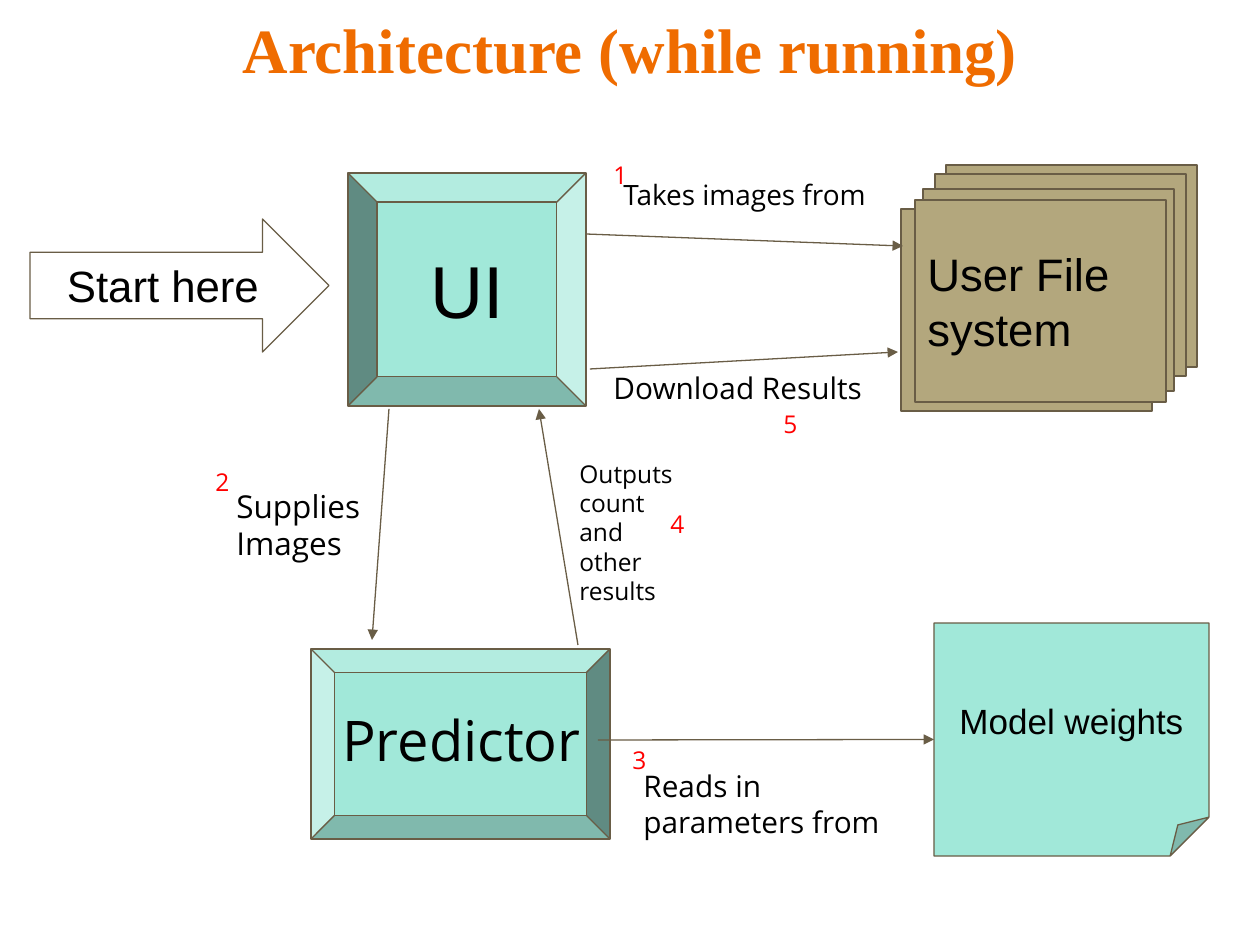
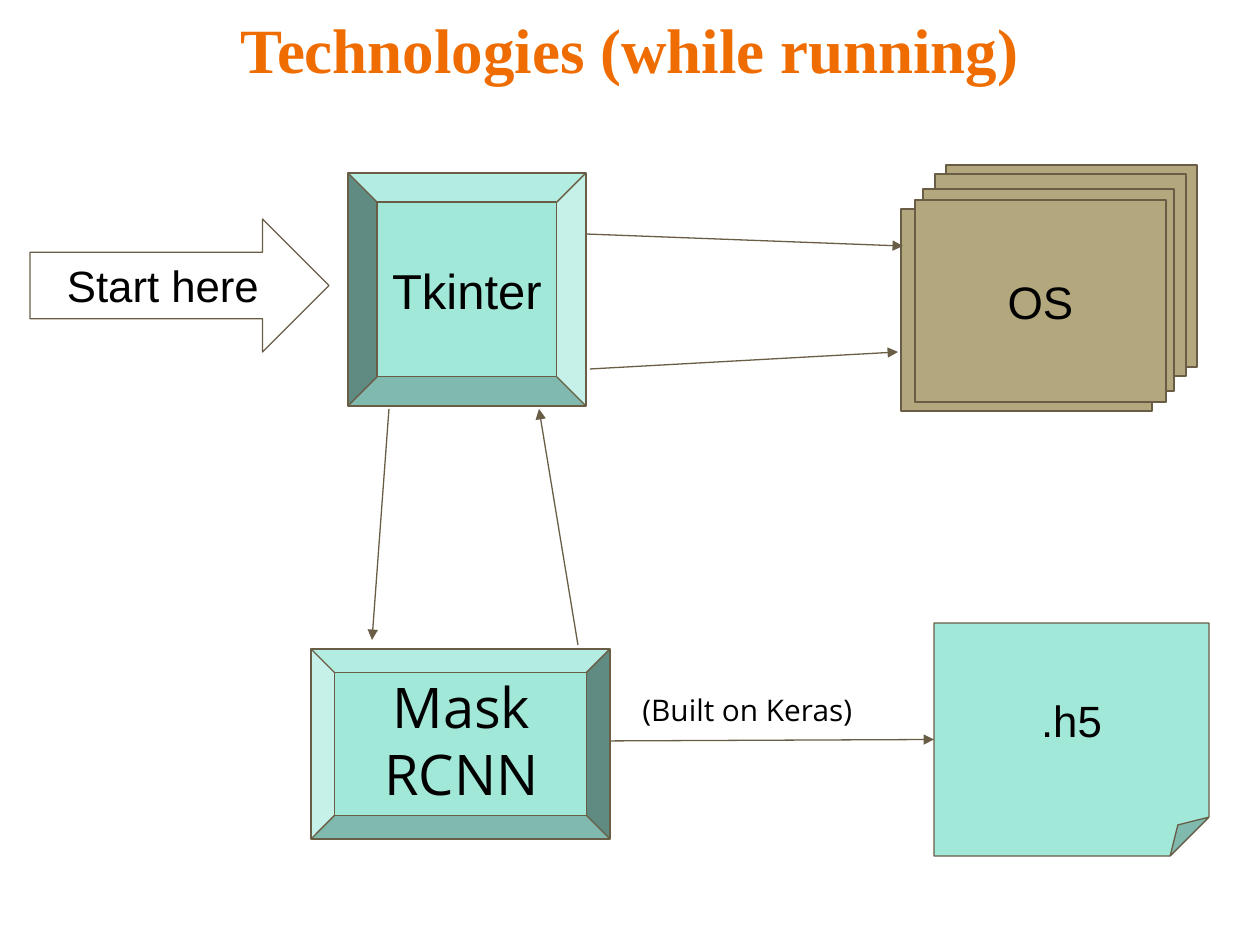
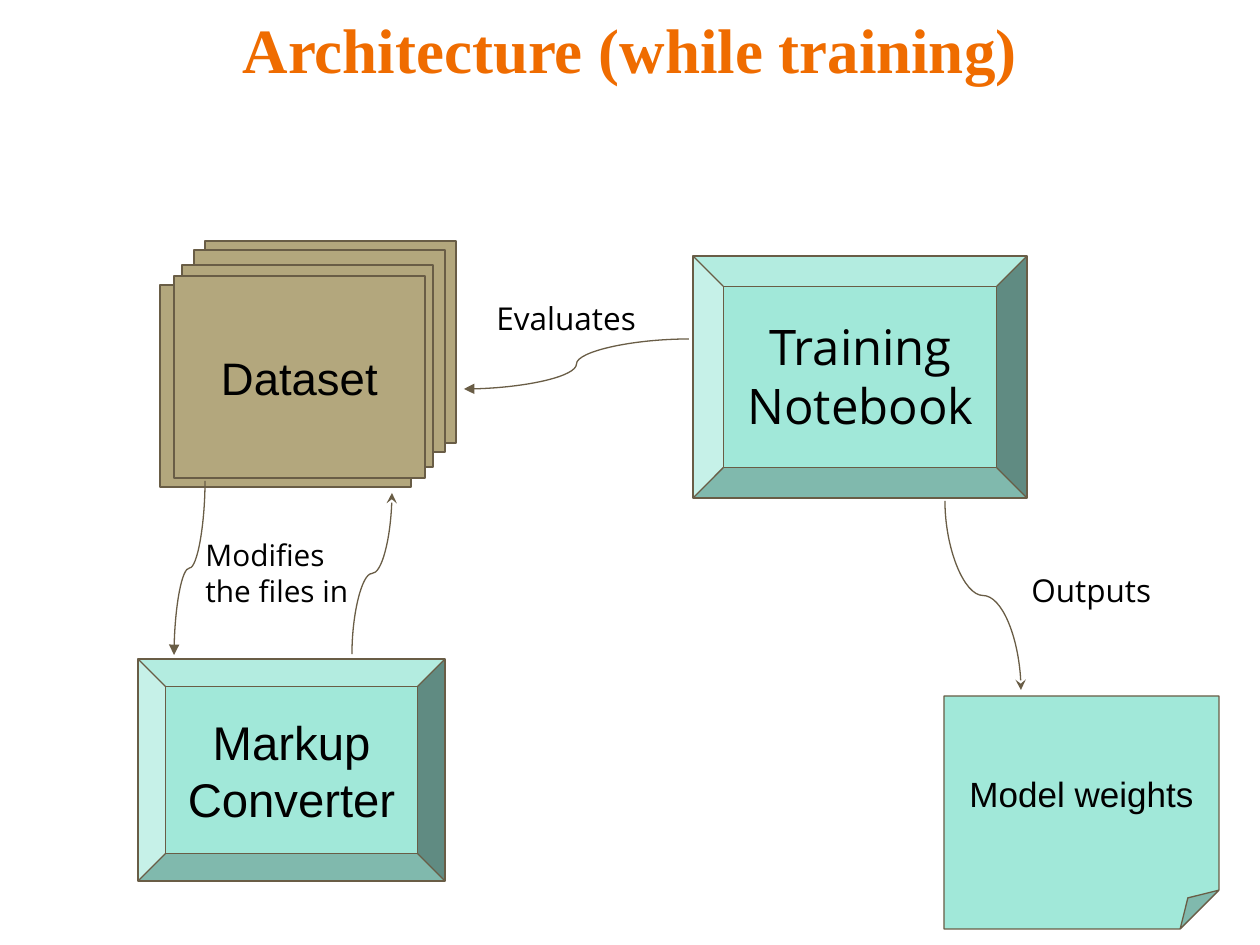
from lxml import etree
from pptx import Presentation
from pptx.dml.color import RGBColor
from pptx.enum.shapes import MSO_CONNECTOR, MSO_SHAPE
from pptx.enum.text import MSO_ANCHOR, PP_ALIGN
from pptx.oxml.ns import qn
from pptx.util import Emu, Inches, Pt

STRAIGHT, CURVE = MSO_CONNECTOR.STRAIGHT, MSO_CONNECTOR.CURVE
RECTANGLE, BEVEL = MSO_SHAPE.RECTANGLE, MSO_SHAPE.BEVEL
RIGHT_ARROW, FOLDED_CORNER = MSO_SHAPE.RIGHT_ARROW, MSO_SHAPE.FOLDED_CORNER
LEFT, CENTER = PP_ALIGN.LEFT, PP_ALIGN.CENTER
TOP, MIDDLE = MSO_ANCHOR.TOP, MSO_ANCHOR.MIDDLE

COLORS = {"title": "EF6C00", "text": "000000", "number": "FF0000", "line": "695D46",
          "mint": "A1E8D9", "sand": "B3A77D", "white": "FFFFFF"}
SANS, LABEL_FONT, TITLE_FONT = "Arial", "Open Sans", "Times New Roman"
EMU_PER_INCH, PX_PER_INCH = 914400, 126
SLIDE_SIZE = (1260, 945)

# Boxes are left, top, width, height in px
TITLE_BOX = (63, -30, 1134, 157)
START_BOX = (30, 219, 299, 133)
INTERFACE_BOX = (348, 173, 238, 233)
PREDICTOR_BOX = (311, 649, 299, 190)
WEIGHTS_SIZE = (275, 233)
SHEET_SIZE = (251, 202)
SHEET_OFFSETS = [(31, -35), (20, -26), (8, -11), (-14, 9), (0, 0)]

# Arrows between interface, files and predictor: x1, y1, x2, y2
RUNNING_ARROWS = [(590, 369, 898, 352), (389, 409, 372, 640),
                  (578, 645, 539, 409), (586, 234, 903, 246)]

# Labels: text, left, top, width, height, size
RUNNING_SLIDES = [
    {
        "title": "Architecture (while running)",
        "interface": ("UI", 42),
        "files": ("User File system", LEFT),
        "predictor": ("Predictor", (324, 693, 275, 93)),
        "weights": ("Model weights", 20),
        "weights_arrow_start": (598, 740),
        "predictor_on_top": False,
        "labels": [
            ("Takes images from", 611, 165, 285, 59, 16),
            ("Download Results", 601, 357, 285, 62, 17),
            ("Supplies Images", 224, 474, 165, 102, 18),
            ("Outputs\ncount and\nother results", 567, 446, 126, 174, 14),
            ("Reads in parameters from", 631, 755, 299, 97, 17),
        ],
        "steps": [(601, 147), (203, 454), (620, 732), (658, 496), (771, 396)],
    },
    {
        "title": "Technologies (while running)",
        "interface": ("Tkinter", 28),
        "files": ("OS", CENTER),
        "predictor": ("Mask RCNN", (324, 660, 275, 161)),
        "weights": (".h5", 25),
        "weights_arrow_start": (598, 741),
        "predictor_on_top": True,
        "labels": [("(Built on Keras)", 630, 679, 285, 62, 17)],
        "steps": [],
    },
]

TRAINING_TITLE = "Architecture (while training)"
TRAINING_LABELS = [
    ("Modifies the files in", 193, 524, 197, 97, 17),
    ("Evaluates", 484, 286, 181, 63, 18),
    ("Outputs", 1019, 558, 178, 63, 18),
]
# Curves: x1, y1, x2, y2, arrowhead, leaves vertically
TRAINING_CURVES = [
    (205, 481, 174, 655, "triangle", True),
    (352, 654, 392, 493, "stealth", True),
    (945, 501, 1021, 690, "stealth", True),
    (689, 339, 464, 389, "triangle", False),
]


def px(*lengths):
    return [Emu(round(length * EMU_PER_INCH / PX_PER_INCH)) for length in lengths]


def color(name):
    return RGBColor.from_string(COLORS[name])


def write(shape, text, *, size, font=LABEL_FONT, ink="text", bold=False,
          align=LEFT, anchor=TOP, inset=0.1):
    frame = shape.text_frame
    frame.word_wrap = True
    frame.vertical_anchor = anchor
    frame.margin_left = frame.margin_right = Inches(0.1)
    frame.margin_top = frame.margin_bottom = Inches(inset)
    frame.text = text
    for paragraph in frame.paragraphs:
        paragraph.alignment = align
        for run in paragraph.runs:
            run.font.size = Pt(size)
            run.font.name = font
            run.font.bold = bold
            run.font.color.rgb = color(ink)


def add_label(slide, text, box, **style):
    write(slide.shapes.add_textbox(*px(*box)), text, **style)


def add_block(slide, kind, box, fill, text="", size=26, align=CENTER, mirrored=False):
    shape = slide.shapes.add_shape(kind, *px(*box))
    shape.shadow.inherit = False
    shape.fill.solid()
    shape.fill.fore_color.rgb = color(fill)
    shape.line.color.rgb = color("line")
    shape.line.width = Pt(0.75)
    if mirrored:
        shape._element.spPr.find(qn("a:xfrm")).set("flipH", "1")
    if text:
        write(shape, text, size=size, font=SANS, align=align, anchor=MIDDLE)
    return shape


def add_arrow(slide, x1, y1, x2, y2, head="triangle", kind=STRAIGHT):
    connector = slide.shapes.add_connector(kind, *px(x1, y1, x2, y2))
    connector.line.color.rgb = color("line")
    connector.line.width = Pt(0.75)
    etree.SubElement(connector.line._get_or_add_ln(), qn("a:tailEnd"), type=head)
    etree.SubElement(connector._element.spPr, qn("a:effectLst"))
    return connector


def add_curve(slide, x1, y1, x2, y2, head, vertical):
    if not vertical:
        add_arrow(slide, x1, y1, x2, y2, head, CURVE)
        return
    # A vertical curve is a horizontal one turned a quarter about its centre
    center_x, center_y = (x1 + x2) / 2, (y1 + y2) / 2
    reach, rise = abs(y2 - y1) / 2, abs(x2 - x1) / 2
    downward = y2 > y1
    if (x2 > x1) == downward:
        rise = -rise
    connector = add_arrow(slide, center_x - reach, center_y - rise,
                          center_x + reach, center_y + rise, head, CURVE)
    degrees = 90 if downward else 270
    connector._element.spPr.find(qn("a:xfrm")).set("rot", str(degrees * 60000))


def add_titled_slide(presentation, title):
    slide = presentation.slides.add_slide(presentation.slide_layouts[6])
    add_label(slide, title, TITLE_BOX, size=36, font=TITLE_FONT, ink="title",
              bold=True, align=CENTER, anchor=MIDDLE, inset=0.05)
    return slide


def add_sheets(slide, left, top, text, align=CENTER):
    for shift_x, shift_y in SHEET_OFFSETS:
        sheet = add_block(slide, RECTANGLE, (left + shift_x, top + shift_y, *SHEET_SIZE), "sand")
    write(sheet, text, size=26, font=SANS, align=align, anchor=MIDDLE)


def add_weights(slide, left, top, text, size):
    return add_block(slide, FOLDED_CORNER, (left, top, *WEIGHTS_SIZE), "mint", text, size)


def add_labels(slide, labels):
    for text, *box, size in labels:
        add_label(slide, text, box, size=size)


def add_running_slide(presentation, content):
    slide = add_titled_slide(presentation, content["title"])
    add_sheets(slide, 915, 200, *content["files"])
    add_block(slide, BEVEL, INTERFACE_BOX, "mint", *content["interface"], mirrored=True)
    add_block(slide, RIGHT_ARROW, START_BOX, "white", "Start here", 25)
    for ends in RUNNING_ARROWS:
        add_arrow(slide, *ends)
    weights = add_weights(slide, 934, 623, *content["weights"])

    # The arrow to the weights starts under or over the predictor
    def connect_weights():
        arrow = add_arrow(slide, *content["weights_arrow_start"], 934, 739)
        arrow.end_connect(weights, 1)

    if content["predictor_on_top"]:
        connect_weights()
    add_block(slide, BEVEL, PREDICTOR_BOX, "mint")
    if not content["predictor_on_top"]:
        connect_weights()
    name, box = content["predictor"]
    add_label(slide, name, box, size=32, align=CENTER)

    add_labels(slide, content["labels"])
    for number, (left, top) in enumerate(content["steps"], 1):
        add_label(slide, str(number), (left, top, 39, 55), size=14, ink="number")


def add_training_slide(presentation):
    slide = add_titled_slide(presentation, TRAINING_TITLE)
    add_block(slide, BEVEL, (693, 256, 334, 242), "mint")
    add_label(slide, "Training Notebook", (723, 304, 275, 144), size=28, align=CENTER)
    add_sheets(slide, 174, 276, "Dataset")
    add_weights(slide, 944, 696, "Model weights", 20)
    add_block(slide, BEVEL, (138, 659, 307, 222), "mint", "Markup Converter", 27)
    for curve in TRAINING_CURVES:
        add_curve(slide, *curve)
    add_labels(slide, TRAINING_LABELS)


def main():
    presentation = Presentation()
    presentation.slide_width, presentation.slide_height = px(*SLIDE_SIZE)
    for content in RUNNING_SLIDES:
        add_running_slide(presentation, content)
    add_training_slide(presentation)
    presentation.save("out.pptx")


if __name__ == "__main__":
    main()
